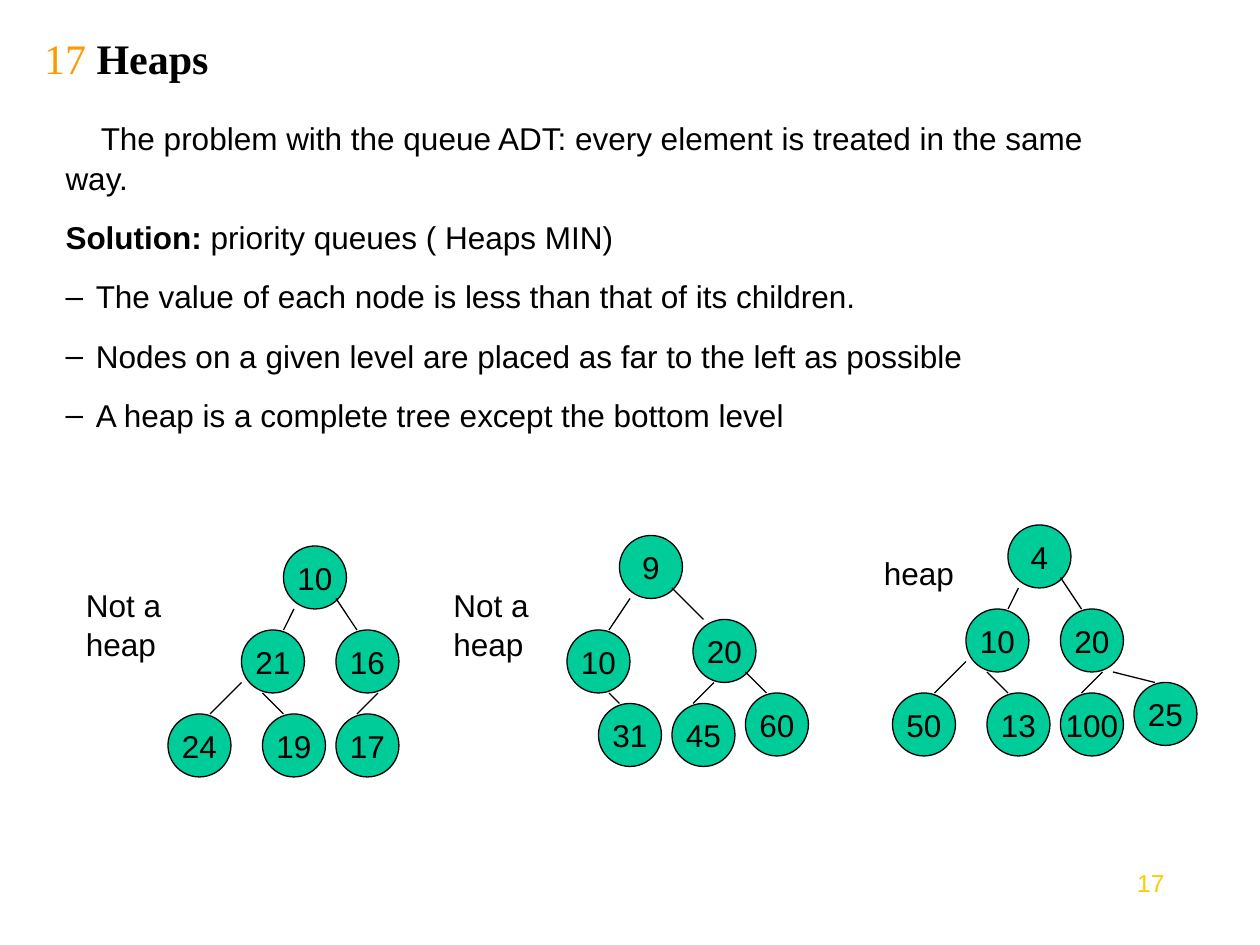
from dataclasses import dataclass

from lxml import etree
from pptx import Presentation
from pptx.dml.color import RGBColor
from pptx.enum.shapes import MSO_CONNECTOR, MSO_SHAPE
from pptx.enum.text import MSO_ANCHOR, MSO_AUTO_SIZE, PP_ALIGN
from pptx.oxml.ns import qn
from pptx.util import Inches, Length, Pt

OVAL = MSO_SHAPE.OVAL
LINE = MSO_CONNECTOR.STRAIGHT
MIDDLE = MSO_ANCHOR.MIDDLE
TOP = MSO_ANCHOR.TOP
FIXED = MSO_AUTO_SIZE.NONE
LEFT, CENTER, RIGHT = PP_ALIGN.LEFT, PP_ALIGN.CENTER, PP_ALIGN.RIGHT


@dataclass(frozen=True)
class Theme:
    ink: RGBColor = RGBColor(0, 0, 0)
    node: RGBColor = RGBColor(0x00, 0xCC, 0x99)
    number: RGBColor = RGBColor(0xFF, 0x99, 0x00)
    footer: RGBColor = RGBColor(0xFF, 0xCC, 0x00)
    sans: str = "Arial"
    serif: str = "Times New Roman"
    head: float = 24
    text: float = 18
    small: float = 14
    rule: float = 0.75
    gap: float = 11.2
    pitch: float = 1.05


@dataclass(frozen=True)
class Node:
    text: str
    x: int
    y: int


@dataclass(frozen=True)
class Edge:
    x1: int
    y1: int
    x2: int
    y2: int


@dataclass(frozen=True)
class Tree:
    """A tree whose parts are placed relative to the root, in grid steps."""
    x: int
    y: int
    nodes: list[Node]
    edges: list[Edge]


@dataclass(frozen=True)
class Label:
    text: str
    x: int
    y: int
    height: float


THEME = Theme()
SIDE = 6  # node diameter in grid steps

SPOTS = [(0, 0), (5, 8), (-4, 8), (-11, 16), (-2, 16), (5, 16)]
EDGES = [Edge(1, 6, 0, 8), Edge(5, 5, 7, 8), Edge(-2, 14, 0, 16),
         Edge(9, 14, 7, 16), Edge(-4, 13, -7, 16)]


def place(names: str) -> list[Node]:
    return [Node(name, x, y) for name, (x, y) in zip(names.split(), SPOTS)]


TREES = [
    Tree(27, 52, place("10 16 21 24 19 17"), EDGES),
    Tree(59, 51,
         [Node("9", 0, 0), Node("20", 7, 8), Node("10", -5, 9),
          Node("31", -2, 16), Node("60", 12, 15), Node("45", 5, 16)],
         [Edge(1, 6, -1, 9), Edge(5, 5, 8, 8), Edge(12, 13, 14, 15),
          Edge(9, 14, 7, 16), Edge(-1, 15, 0, 16)]),
    Tree(96, 50, place("4 20 10 50 13 100") + [Node("25", 12, 15)],
         EDGES + [Edge(10, 14, 14, 15)]),
]

LABELS = [Label("Not a heap", 7, 55, 0.7), Label("Not a heap", 42, 55, 0.7),
          Label("heap", 83, 52, 0.4)]

RULES = ["The value of each node is less than that of its children.",
         "Nodes on a given level are placed as far to the left as possible",
         "A heap is a complete tree except the bottom level"]


def grid(steps: int) -> Length:
    """Turn grid steps of a twelfth of an inch into a length."""
    return Inches(steps / 12)


def style(run, size: float, color: RGBColor = THEME.ink,
          face: str = THEME.sans, bold: bool = False) -> None:
    font = run.font
    font.size, font.name, font.bold = Pt(size), face, bold
    font.color.rgb = color


def move(shape, left: float, top: float, width: float, height: float) -> None:
    shape.left, shape.top = Inches(left), Inches(top)
    shape.width, shape.height = Inches(width), Inches(height)


def indent(para, margin: float, first: float, mark: str = "") -> None:
    """Set the indents and the bullet; no mark means no bullet."""
    props = para._p.get_or_add_pPr()
    props.set("marL", str(Inches(margin)))
    props.set("indent", str(Inches(first)))
    if mark:
        etree.SubElement(props, qn("a:buChar")).set("char", mark)
    else:
        etree.SubElement(props, qn("a:buNone"))


def add_text(slide, text: str, box: tuple[Length, ...], size: float,
             color: RGBColor, align: PP_ALIGN) -> None:
    frame = slide.shapes.add_textbox(*box).text_frame
    frame.word_wrap = True
    frame.text = text
    para = frame.paragraphs[0]
    para.alignment, para.line_spacing = align, THEME.pitch
    style(para.runs[0], size, color)


def fill_title(title) -> None:
    move(title, 0.25, 0.25, 8.5, 0.42)
    frame = title.text_frame
    frame.auto_size, frame.vertical_anchor = FIXED, MIDDLE
    para = frame.paragraphs[0]
    para.alignment = LEFT
    number, name = para.add_run(), para.add_run()
    number.text, name.text = "17 ", "Heaps"
    style(number, THEME.head, THEME.number, THEME.serif)
    style(name, THEME.head, face=THEME.serif, bold=True)


def fill_body(body) -> None:
    move(body, 0.42, 0.42, 8.75, 2.98)
    frame = body.text_frame
    frame.auto_size, frame.vertical_anchor = FIXED, TOP
    frame.margin_top = Inches(0.51)
    lines = ["The problem with the queue ADT: every element is treated "
             "in the same way.", "Solution: ", *RULES]
    frame.text = "\n".join(lines)
    intro, answer, *rules = frame.paragraphs
    answer.add_run().text = "priority queues ( Heaps MIN)"
    for para in frame.paragraphs:
        para.line_spacing = THEME.pitch
        para.space_before = Pt(0 if para is intro else THEME.gap)
        for run in para.runs:
            style(run, THEME.text)
    answer.runs[0].font.bold = True
    indent(intro, 0, 0.28)
    indent(answer, 0, 0)
    for para in rules:
        indent(para, 0.24, -0.24, "–")


def draw_node(group, tree: Tree, node: Node) -> None:
    oval = group.shapes.add_shape(OVAL, grid(tree.x + node.x),
                                  grid(tree.y + node.y), grid(SIDE), grid(SIDE))
    oval.shadow.inherit = False
    oval.fill.solid()
    oval.fill.fore_color.rgb = THEME.node
    oval.line.color.rgb, oval.line.width = THEME.ink, Pt(THEME.rule)
    frame = oval.text_frame
    frame.word_wrap, frame.vertical_anchor = False, MIDDLE
    frame.text = node.text
    frame.paragraphs[0].alignment = CENTER
    style(frame.paragraphs[0].runs[0], THEME.text)


def draw_edge(group, tree: Tree, edge: Edge) -> None:
    line = group.shapes.add_connector(
        LINE, grid(tree.x + edge.x1), grid(tree.y + edge.y1),
        grid(tree.x + edge.x2), grid(tree.y + edge.y2))
    line.line.color.rgb, line.line.width = THEME.ink, Pt(THEME.rule)
    etree.SubElement(line._element.spPr, qn("a:effectLst"))


def main() -> None:
    deck = Presentation()
    deck.slide_width, deck.slide_height = Inches(10), Inches(7.5)
    slide = deck.slides.add_slide(deck.slide_layouts[1])
    fill_title(slide.shapes.title)
    fill_body(slide.placeholders[1])
    for tree in TREES:
        group = slide.shapes.add_group_shape()
        for node in tree.nodes:
            draw_node(group, tree, node)
        for edge in tree.edges:
            draw_edge(group, tree, edge)
    for label in LABELS:
        box = grid(label.x), grid(label.y), grid(11), Inches(label.height)
        add_text(slide, label.text, box, THEME.text, THEME.ink, LEFT)
    corner = Inches(8.67), Inches(6.83), Inches(0.67), Inches(0.52)
    add_text(slide, "17", corner, THEME.small, THEME.footer, RIGHT)
    deck.save("out.pptx")


if __name__ == "__main__":
    main()
